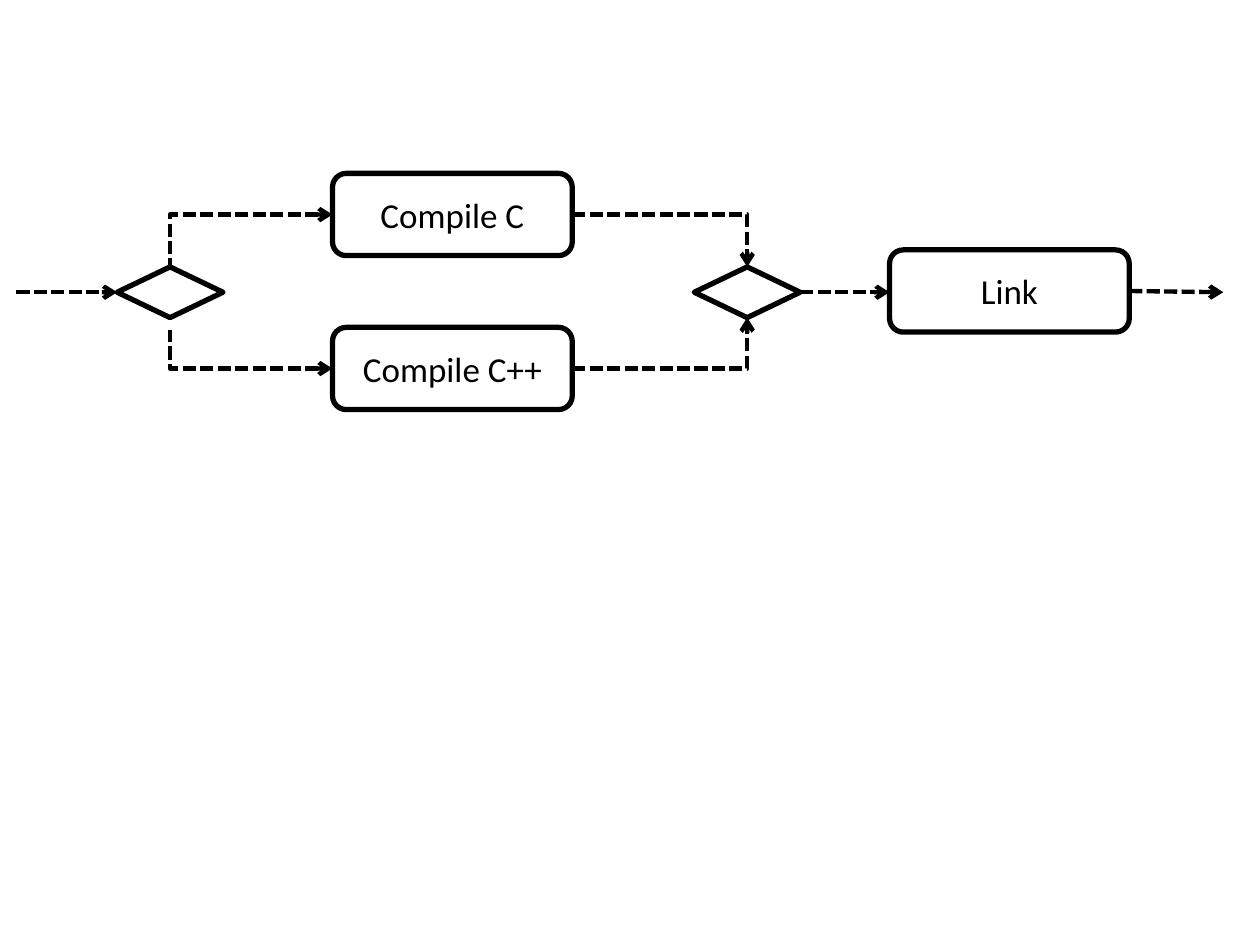
from pptx import Presentation
from pptx.dml.color import RGBColor
from pptx.enum.dml import MSO_LINE
from pptx.enum.shapes import MSO_CONNECTOR, MSO_SHAPE
from pptx.enum.text import MSO_ANCHOR, PP_ALIGN
from pptx.oxml.ns import qn
from pptx.util import Pt
from lxml import etree

STRAIGHT, ELBOW = MSO_CONNECTOR.STRAIGHT, MSO_CONNECTOR.ELBOW
DIAMOND, ROUNDED = MSO_SHAPE.DIAMOND, MSO_SHAPE.ROUNDED_RECTANGLE
DASH = MSO_LINE.SQUARE_DOT
MIDDLE, CENTER = MSO_ANCHOR.MIDDLE, PP_ALIGN.CENTER

COLORS = {"ink": "000000"}
FONT = "Calibri"
STEP_SIZE = (137, 47)
GATE_SIZE = (60.5, 29)

# Centres of the steps and of the split and merge gates
STEPS = {
    "Compile C": (258.5, 122.6),
    "Compile C++": (258.5, 210.6),
    "Link": (576.8, 166.3),
}
GATES = {"split": (97.2, 167), "merge": (427, 167)}
FLOW_START, FLOW_END = 9.4, 699
SPLIT_GAP = 7.2  # space left below the split gate

INK = RGBColor.from_string(COLORS["ink"])

prs = Presentation()
prs.slide_width, prs.slide_height = Pt(720), Pt(540)
slide = prs.slides.add_slide(prs.slide_layouts[6])


def add_node(kind, center, size, label=""):
    (x, y), (w, h) = center, size
    node = slide.shapes.add_shape(kind, Pt(x - w / 2), Pt(y - h / 2), Pt(w), Pt(h))
    node.shadow.inherit = False
    node.fill.background()
    node.line.color.rgb = INK
    node.line.width = Pt(3)
    if label:
        frame = node.text_frame
        frame.word_wrap = True
        frame.vertical_anchor = MIDDLE
        paragraph = frame.paragraphs[0]
        paragraph.alignment = CENTER
        run = paragraph.add_run()
        run.text = label
        run.font.name = FONT
        run.font.size = Pt(20)
        run.font.color.rgb = INK


def add_flow(start, end, kind=STRAIGHT, arrow="tailEnd"):
    """Dashed arrow; an elbow leaves its start horizontally and turns once."""
    flow = slide.shapes.add_connector(kind, *(Pt(v) for v in (*start, *end)))
    flow.line.color.rgb = INK
    flow.line.width = Pt(2.5)
    flow.line.dash_style = DASH
    properties = flow._element.spPr
    if kind == ELBOW:
        properties.find(qn("a:prstGeom")).set("prst", "bentConnector2")
    etree.SubElement(properties.find(qn("a:ln")), qn("a:" + arrow), type="arrow")
    etree.SubElement(properties, qn("a:effectLst"))


# Nodes
for center in GATES.values():
    add_node(DIAMOND, center, GATE_SIZE)
for label, center in STEPS.items():
    add_node(ROUNDED, center, STEP_SIZE, label)

# Branches: each compile step joins both gates
half_step, half_gate, half_height = STEP_SIZE[0] / 2, GATE_SIZE[0] / 2, GATE_SIZE[1] / 2
split_x, gate_y = GATES["split"]
merge_x = GATES["merge"][0]
for label, side, gap in (("Compile C", -1, 0), ("Compile C++", 1, SPLIT_GAP)):
    x, y = STEPS[label]
    edge_y = gate_y + side * half_height
    add_flow((x - half_step, y), (split_x, edge_y + gap), ELBOW, "headEnd")
    add_flow((x + half_step, y), (merge_x, edge_y), ELBOW)

# Main line
link_x, link_y = STEPS["Link"]
add_flow((FLOW_START, gate_y), (split_x - half_gate, gate_y))
add_flow((merge_x + half_gate, gate_y), (link_x - half_step, gate_y))
add_flow((link_x + half_step, link_y), (FLOW_END, gate_y))

prs.save("out.pptx")
